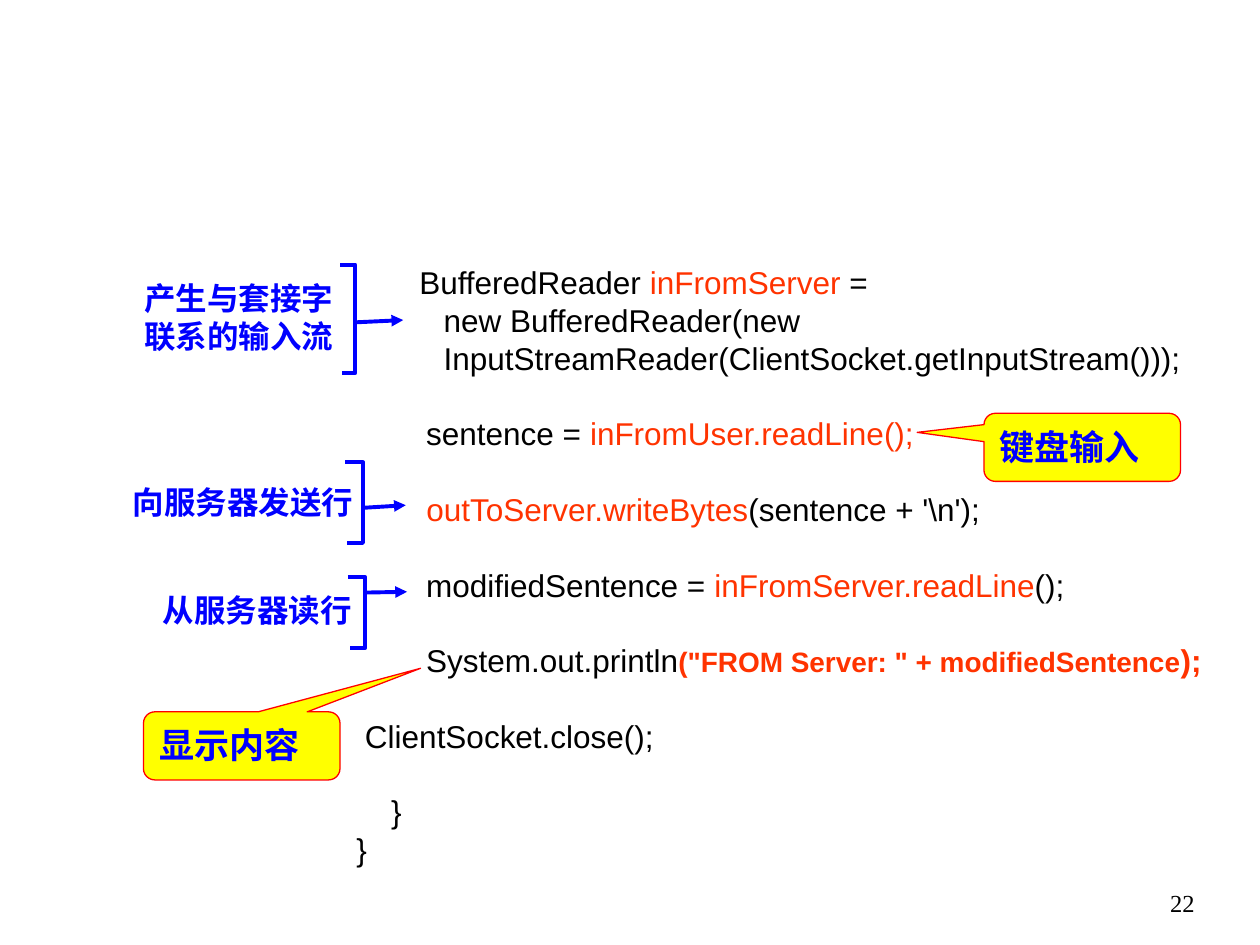
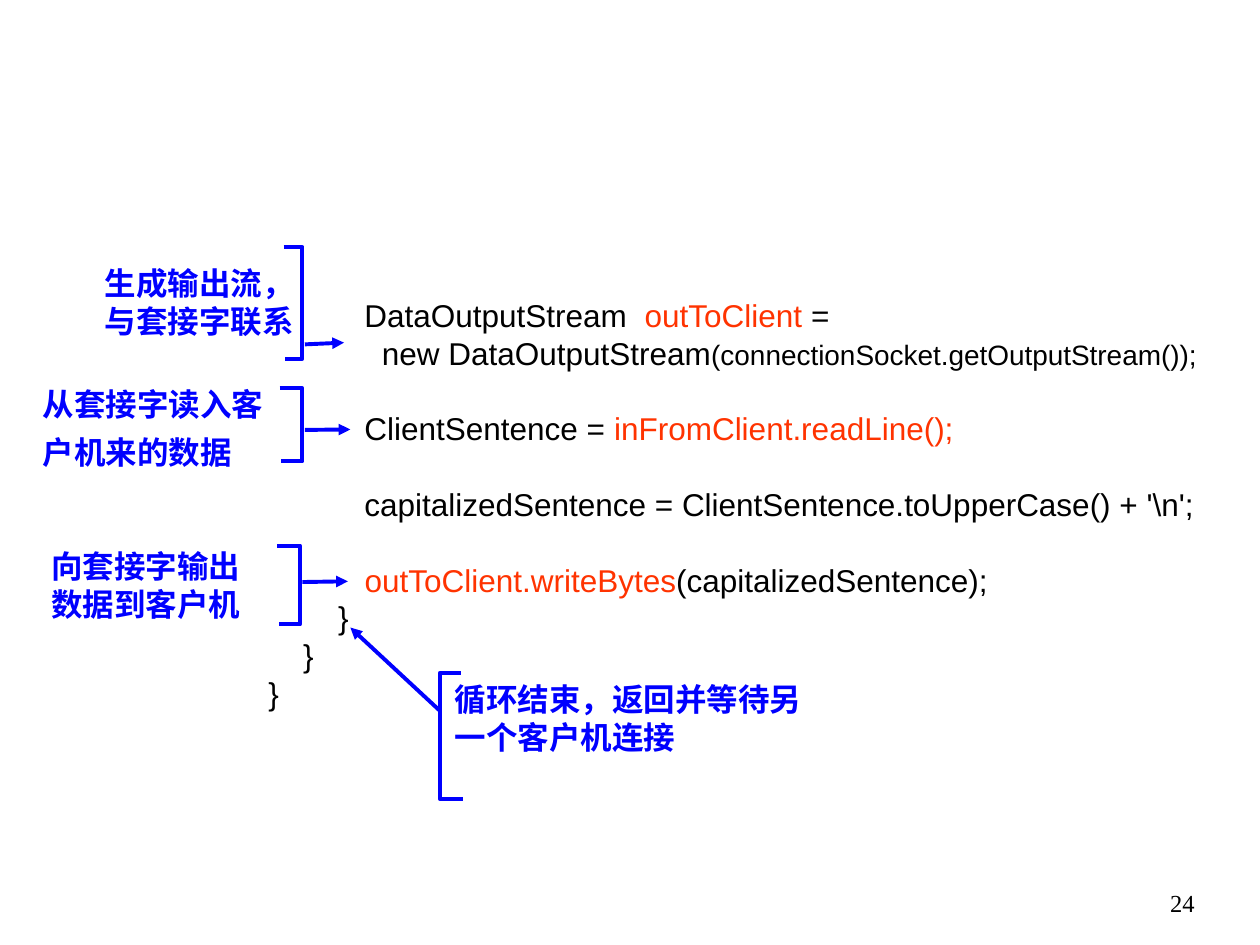
import pptx
import pptx.dml.color
import pptx.enum.shapes
import pptx.enum.text
import pptx.oxml.ns
import pptx.util
from lxml import etree

Pt = pptx.util.Pt
ALIGN = pptx.enum.text.PP_ALIGN
A_NS = pptx.oxml.ns.nsdecls("a")

BLACK, BLUE, RED = "000000", "0000FF", "FF3300"
YELLOW, OUTLINE = "FFFF00", "FF0000"
CODE_FONT, LABEL_FONT, NUMBER_FONT = "Arial", "Comic Neue", "Times New Roman"
LINE_WIDTH = 2.25
LINE_PITCH = 21.6
BLANK = None

# Each line is a list of pieces: text, then whatever differs from plain code.
CLIENT_CODE = [
    [("        ", {"font": NUMBER_FONT}), ("BufferedReader", {}),
     (" inFromServer", {"color": RED}), (" =", {})],
    [("          new BufferedReader(new", {})],
    [("          InputStreamReader(ClientSocket.getInputStream()));", {})],
    BLANK,
    [("        sentence = ", {}), ("inFromUser.readLine();", {"color": RED})],
    BLANK,
    [("        ", {}), ("outToServer.writeBytes", {"color": RED}),
     ("(sentence + '\\n');", {})],
    BLANK,
    [("        modifiedSentence =", {}),
     (" inFromServer.readLine", {"color": RED}), ("();", {})],
    BLANK,
    [("        System.out.println", {}),
     ('("FROM Server: " + modifiedSentence',
      {"color": RED, "size": 16, "bold": True}),
     (");", {"color": RED, "bold": True})],
    BLANK,
    [(" ClientSocket.close();", {})],
    BLANK,
    [("    }", {})],
    [("}", {})],
]

SERVER_CODE = [
    [("           DataOutputStream  ", {}),
     ("outToClient ", {"color": RED}), ("=", {})],
    [("             new DataOutputStream", {}),
     ("(connectionSocket.getOutputStream());", {"size": 16})],
    BLANK,
    [("           ClientSentence = ", {}),
     ("inFromClient.readLine();", {"color": RED})],
    BLANK,
    [("           capitalizedSentence = ClientSentence.toUpperCase() + '\\n';",
      {})],
    BLANK,
    [("           ", {}), ("outToClient.writeBytes", {"color": RED}),
     ("(capitalizedSentence);", {})],
    [("        }", {})],
    [("    }", {})],
    [("}", {})],
]


def rgb(value):
    return pptx.dml.color.RGBColor.from_string(value)


def style_run(r, font=CODE_FONT, size=18, color=BLACK, bold=False):
    r.font.name = font
    r.font.size = Pt(size)
    r.font.bold = bold
    r.font.color.rgb = rgb(color)


def style_line(sp, color, width):
    sp.line.color.rgb = rgb(color)
    sp.line.width = Pt(width)


def add_text_box(slide, box):
    sp = slide.shapes.add_textbox(*map(Pt, box))
    sp.text_frame.word_wrap = True
    return sp.text_frame


def set_text(tf, text, align=ALIGN.LEFT, pitch=None, **style):
    p = tf.paragraphs[0]
    p.text = text
    p.alignment = align
    if pitch:
        p.line_spacing = Pt(pitch)
    style_run(p.runs[0], **style)


def add_page_number(slide, number):
    tf = add_text_box(slide, (653.8, 504, 36, 36))
    set_text(tf, str(number), ALIGN.RIGHT, font=NUMBER_FONT, size=14)


def add_code(slide, box, lines):
    """Set one paragraph per line; a blank line becomes space before the next."""
    tf = add_text_box(slide, box)
    p, gap = tf.paragraphs[0], 0
    for line in lines:
        if line is BLANK:
            gap += LINE_PITCH
            continue
        if p.runs:
            p = tf.add_paragraph()
            p.space_before = Pt(gap)
        p.line_spacing = Pt(LINE_PITCH)
        for text, style in line:
            r = p.add_run()
            r.text = text
            style_run(r, **style)
        gap = 0


def add_bracket(slide, x, y, height, arm):
    """Draw a bracket with its spine at x; a negative arm opens to the right."""
    builder = slide.shapes.build_freeform(Pt(x - arm), Pt(y))
    builder.add_line_segments(
        [(Pt(x), Pt(y)), (Pt(x), Pt(y + height)),
         (Pt(x - arm + 1), Pt(y + height))], close=False)
    sp = builder.convert_to_shape()
    sp.shadow.inherit = False
    sp.fill.background()
    style_line(sp, BLUE, LINE_WIDTH)


def add_arrow(slide, start, end):
    line = slide.shapes.add_connector(
        pptx.enum.shapes.MSO_CONNECTOR.STRAIGHT, *map(Pt, start + end))
    style_line(line, BLUE, LINE_WIDTH)
    line.line._get_or_add_ln().append(
        etree.fromstring(f'<a:tailEnd {A_NS} type="triangle"/>'))
    line._element.spPr.append(etree.fromstring(f"<a:effectLst {A_NS}/>"))


def add_note(slide, box, text, bracket, arrow, align=ALIGN.LEFT,
             pitch=LINE_PITCH):
    """Place a label, its bracket (dx, dy, height, arm from the box corner)
    and its arrow (start and end from the top of the bracket's spine)."""
    tf = add_text_box(slide, box)
    set_text(tf, text, align, pitch, font=LABEL_FONT, color=BLUE, bold=True)
    dx, dy, height, arm = bracket
    x, y = box[0] + dx, box[1] + dy
    add_bracket(slide, x, y, height, arm)
    x1, y1, x2, y2 = arrow
    add_arrow(slide, (x + x1, y + y1), (x + x2, y + y2))


def add_callout(slide, left, top, text, tip):
    sp = slide.shapes.add_shape(
        pptx.enum.shapes.MSO_SHAPE.ROUNDED_RECTANGULAR_CALLOUT,
        Pt(left), Pt(top), Pt(112.3), Pt(38.9))
    sp.adjustments[0], sp.adjustments[1] = tip
    sp.shadow.inherit = False
    sp.fill.solid()
    sp.fill.fore_color.rgb = rgb(YELLOW)
    style_line(sp, OUTLINE, 0.75)
    tf = sp.text_frame
    tf.word_wrap = True
    tf.vertical_anchor = pptx.enum.text.MSO_ANCHOR.TOP
    tf.margin_top = Pt(5)
    set_text(tf, text, pitch=24, font=LABEL_FONT, size=20, color=BLUE,
             bold=True)


def build_client_slide(slide):
    add_page_number(slide, 22)
    add_code(slide, (196.5, 146.9, 502.5, 352.8), CLIENT_CODE)
    add_note(slide, (62, 156.2, 135.4, 50.4), "产生与套接字联系的输入流",
             (141, -5, 62, 8.6), (0, 33, 27.4, 31.7), ALIGN.RIGHT)
    add_note(slide, (60, 272.2, 149, 28.8), "向服务器发送行",
             (147.4, -8, 46, 10), (0, 26, 24.5, 24.5), ALIGN.RIGHT)
    add_note(slide, (60, 334, 148, 28.8), "从服务器读行",
             (148.8, -4.2, 40.3, 10), (0.7, 8.8, 23.8, 8.4), ALIGN.RIGHT)
    add_callout(slide, 82, 406.8, "显示内容", (0.91, -1.14))
    add_callout(slide, 562.3, 236.2, "键盘输入", (-0.84, -0.22))


def build_server_slide(slide):
    add_page_number(slide, 24)
    add_code(slide, (146.2, 165.6, 550, 244.8), SERVER_CODE)
    add_note(slide, (17.3, 211.3, 147.6, 61.2), "从套接字读入客户机来的数据",
             (155.5, 10.5, 41.8, 13), (1.4, 23.9, 27.4, 23.6), pitch=27)
    add_note(slide, (43.9, 147.6, 131, 50.4), "生成输出流，与套接字联系",
             (128.9, -6.5, 64, 10.8), (1.4, 55.7, 23.8, 54.7), ALIGN.RIGHT)
    add_note(slide, (22.3, 308.9, 125.3, 50.4), "向套接字输出数据到客户机",
             (149.1, 2.9, 45, 13), (1.4, 20.8, 27.4, 20.4))
    add_note(slide, (252.7, 385.2, 214.6, 72), "循环结束，返回并等待另一个客户机连接",
             (-1.4, -0.7, 72, -12), (0, 21.6, -51.1, -25.9))


def main():
    prs = pptx.Presentation()
    prs.slide_width, prs.slide_height = Pt(720), Pt(540)
    for build in (build_client_slide, build_server_slide):
        build(prs.slides.add_slide(prs.slide_layouts[6]))
    prs.save("out.pptx")


if __name__ == "__main__":
    main()
